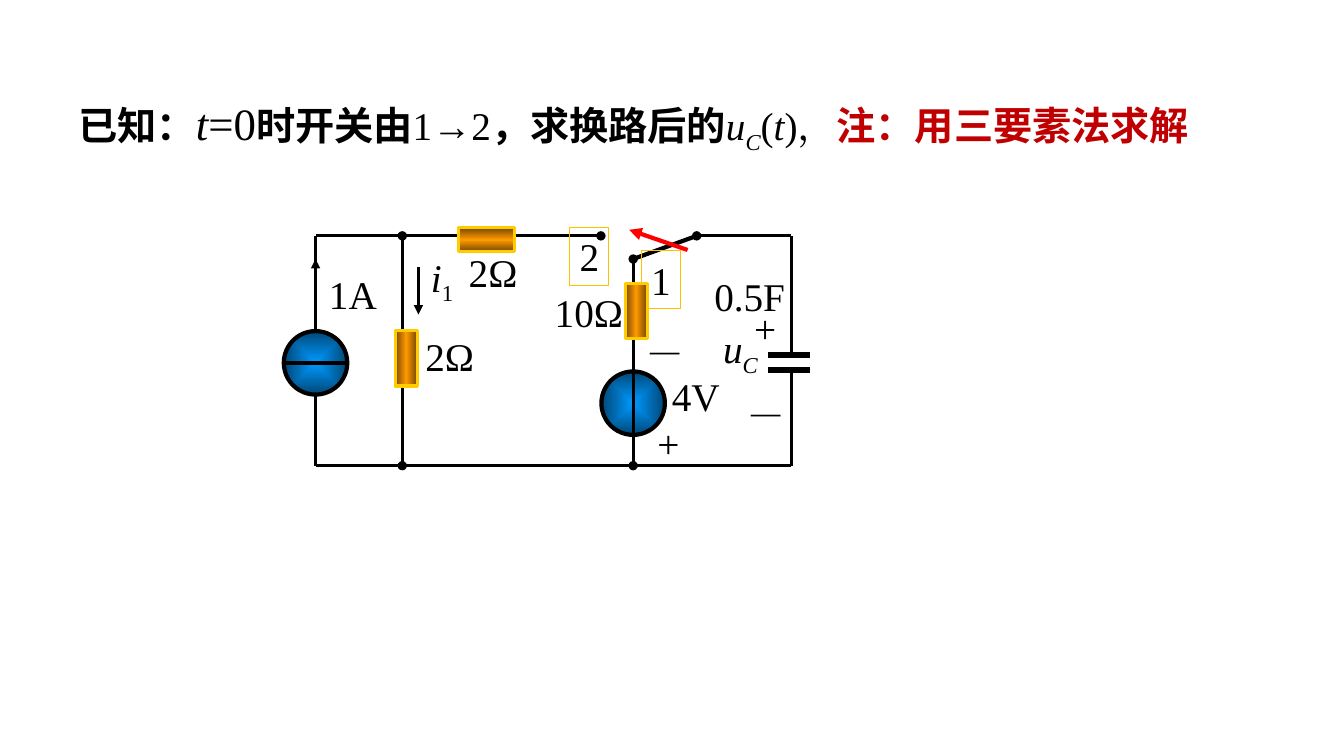
from lxml import etree
from pptx import Presentation
from pptx.dml.color import RGBColor as RGB
from pptx.enum.shapes import MSO_CONNECTOR as LINK, MSO_SHAPE as SHAPE
from pptx.enum.text import MSO_ANCHOR as ANCHOR, MSO_AUTO_SIZE as AUTO, PP_ALIGN as ALIGN
from pptx.oxml.ns import qn
from pptx.util import Inches, Pt

COLORS = {"ink": "000000", "note": "C00000", "switch": "FF0000", "tag": "FFC000",
          "edge": "FFCC00", "bronze": "764700", "amber": "FF9900",
          "blue": "0099FF", "navy": "004776"}
SERIF, HAN = "Times New Roman", "Noto Sans CJK SC"
PLAIN = {"name": SERIF, "size": Pt(28), "bold": False, "italic": False}
ITALIC = {**PLAIN, "italic": True}
HEAVY = {**PLAIN, "name": HAN, "bold": True}
LABEL_H = 0.57


def rgb(key):
    """Return the named colour."""
    return RGB.from_string(COLORS[key])


def write(paragraph, runs):
    """Add (text, font values, baseline, colour) runs to a paragraph."""
    for text, values, baseline, color in runs:
        run = paragraph.add_run()
        run.text = text
        for key, value in values.items():
            setattr(run.font, key, value)
        run.font.color.rgb = rgb(color)
        properties = run.font._element
        if baseline:
            properties.set("baseline", str(baseline))
        etree.SubElement(properties, qn("a:ea")).set("typeface", values["name"])


def text_box(slide, box, runs, align=ALIGN.CENTER, wrap=False):
    """Place a middle-anchored text box."""
    frame = slide.shapes.add_textbox(*map(Inches, box)).text_frame
    settings = {"word_wrap": wrap, "vertical_anchor": ANCHOR.MIDDLE,
                "auto_size": AUTO.SHAPE_TO_FIT_TEXT}
    for key, value in settings.items():
        setattr(frame, key, value)
    frame.paragraphs[0].alignment = align
    write(frame.paragraphs[0], runs)


def outlined(slide, kind, box, color, width):
    """Place an unfilled preset shape with an outline."""
    shape = slide.shapes.add_shape(kind, *map(Inches, box))
    shape.shadow.inherit = False
    shape.fill.background()
    shape.line.color.rgb = rgb(color)
    shape.line.width = Pt(width)
    return shape


def shade(shape, stops, angle=None):
    """Fill a shape with a linear gradient, or a centred one without an angle."""
    gradient = etree.Element(qn("a:gradFill"), rotWithShape="1")
    stop_list = etree.SubElement(gradient, qn("a:gsLst"))
    for position, key in stops:
        stop = etree.SubElement(stop_list, qn("a:gs"), pos=str(position * 1000))
        etree.SubElement(stop, qn("a:srgbClr"), val=COLORS[key])
    if angle is None:
        centre = etree.SubElement(gradient, qn("a:path"))
        centre.set("path", "shape")
        etree.SubElement(centre, qn("a:fillToRect"),
                         **{side: "50000" for side in "ltrb"})
    else:
        etree.SubElement(gradient, qn("a:lin"), ang=str(angle * 60000), scaled="1")
    properties = shape._element.spPr
    properties.replace(properties.find(qn("a:noFill")), gradient)


def wire(slide, start, end, width=2.25, color="ink", head=None, tail=None):
    """Draw a straight line with optional end marks."""
    line = slide.shapes.add_connector(LINK.STRAIGHT, *map(Inches, start + end))
    line.line.color.rgb = rgb(color)
    line.line.width = Pt(width)
    outline = line.line._get_or_add_ln()
    for tag, mark in (("a:headEnd", head), ("a:tailEnd", tail)):
        if mark:
            etree.SubElement(outline, qn(tag), type=mark)
    etree.SubElement(line._element.spPr, qn("a:effectLst"))


def problem(slide, box):
    """Write the problem statement."""
    runs = [("已知：", HEAVY, 0, "ink"),
            ("t", {**ITALIC, "size": Pt(32)}, 0, "ink"),
            ("=0", {**PLAIN, "size": Pt(32)}, 0, "ink"),
            ("时开关由", HEAVY, 0, "ink"), ("1→2", PLAIN, 0, "ink"),
            ("，求换路后的", HEAVY, 0, "ink"), ("u", ITALIC, 0, "ink"),
            ("C", ITALIC, -25000, "ink"), ("(", PLAIN, 0, "ink"),
            ("t", ITALIC, 0, "ink"), (")，", PLAIN, 0, "ink"),
            ("注：用三要素法求解", HEAVY, 0, "note")]
    text_box(slide, box, runs, ALIGN.LEFT, True)


def circuit(slide, box):
    """Draw the switched circuit, with its wire loop on the given box."""
    left, top, width, height = box
    right, bottom = left + width, top + height
    branch, source, contact = left + 0.86, left + 3.15, left + 2.83
    pivot, radius = left + 3.78, 0.315
    plates = (top + 1.18, top + 1.33)
    current_y, voltage_y = top + 1.26, top + 1.66
    joint = (source, top + 0.23)

    wire(slide, (left, bottom), (left, top))
    wire(slide, (right, top), (right, plates[0]))
    wire(slide, (branch, top), (branch, bottom), head="oval", tail="oval")
    wire(slide, (left, current_y - radius), (left, top + 0.23), tail="triangle")
    wire(slide, (left, bottom), (right, bottom))
    for x, y in ((left, current_y), (source, voltage_y)):
        ball = outlined(slide, SHAPE.OVAL,
                        (x - radius, y - radius, 2 * radius, 2 * radius), "ink", 3)
        shade(ball, [(0, "blue"), (100, "navy")])
    wire(slide, (left - radius, current_y), (left + radius, current_y), 3)
    wire(slide, joint, (pivot, top), 3)
    wire(slide, joint, (source, bottom), head="oval", tail="oval")
    wire(slide, (left + 3.11, top - 0.06), (left + 3.69, top + 0.14), 3, "switch",
         head="triangle")
    wire(slide, (left, top), (contact, top), tail="oval")
    wire(slide, (pivot, top), (right, top), head="oval")
    wire(slide, (right, plates[1]), (right, bottom))
    wire(slide, (left + 1.02, top + 0.31), (left + 1.02, top + 0.78), tail="triangle")

    labels = [(0.03, 0.29, 0.68, "1A"), (1.41, 0.07, 0.7, "2Ω"),
              (2.26, 0.47, 0.9, "10Ω"), (3.85, 0.31, 0.91, "0.5F"),
              (4.25, 0.63, 0.42, "+"), (4.17, 1.49, 0.59, "－"),
              (0.98, 0.91, 0.7, "2Ω"), (3.43, 1.3, 0.68, "4V"),
              (3.29, 1.77, 0.42, "+"), (3.17, 0.88, 0.59, "－")]
    for x, y, label_w, text in labels:
        text_box(slide, (left + x, top + y, label_w, LABEL_H), [(text, PLAIN, 0, "ink")])
    symbols = [(3.93, 0.86, 0.57, "u", "C", ITALIC), (0.94, 0.15, 0.63, "i", "1", PLAIN)]
    for x, y, label_w, letter, index, style in symbols:
        text_box(slide, (left + x, top + y, label_w, LABEL_H),
                 [(letter, ITALIC, 0, "ink"), (index, style, -25000, "ink")])

    for x, y, position in ((3.23, 0.15, "1"), (2.52, -0.08, "2")):
        tag = outlined(slide, SHAPE.RECTANGLE, (left + x, top + y, 0.39, LABEL_H),
                       "tag", 0.75)
        frame = tag.text_frame
        frame.auto_size, frame.vertical_anchor = AUTO.SHAPE_TO_FIT_TEXT, ANCHOR.TOP
        paragraph = frame.paragraphs[0]
        paragraph.alignment = ALIGN.LEFT
        before = etree.SubElement(paragraph._p.get_or_add_pPr(), qn("a:spcBef"))
        etree.SubElement(before, qn("a:spcPct"), val="50000")
        write(paragraph, [(position, PLAIN, 0, "ink")])

    resistors = [(1.42, -0.08, 0.55, 0.24, 90), (3.07, 0.47, 0.22, 0.55, 0),
                 (0.79, 0.94, 0.22, 0.55, 0)]
    for x, y, body_w, body_h, angle in resistors:
        body = outlined(slide, SHAPE.RECTANGLE, (left + x, top + y, body_w, body_h),
                        "edge", 2.25)
        shade(body, [(0, "bronze"), (50, "amber"), (100, "bronze")], angle)
    for y in plates:
        wire(slide, (right - 0.23, y), (right + 0.18, y), 4.5)


def main():
    """Build and save the slide."""
    deck = Presentation()
    deck.slide_width, deck.slide_height = Inches(13.33), Inches(7.5)
    slide = deck.slides.add_slide(deck.slide_layouts[6])
    problem(slide, (0.68, 0.92, 11.97, 0.64))
    circuit(slide, (3.13, 2.34, 4.72, 2.28))
    deck.save("out.pptx")


if __name__ == "__main__":
    main()
